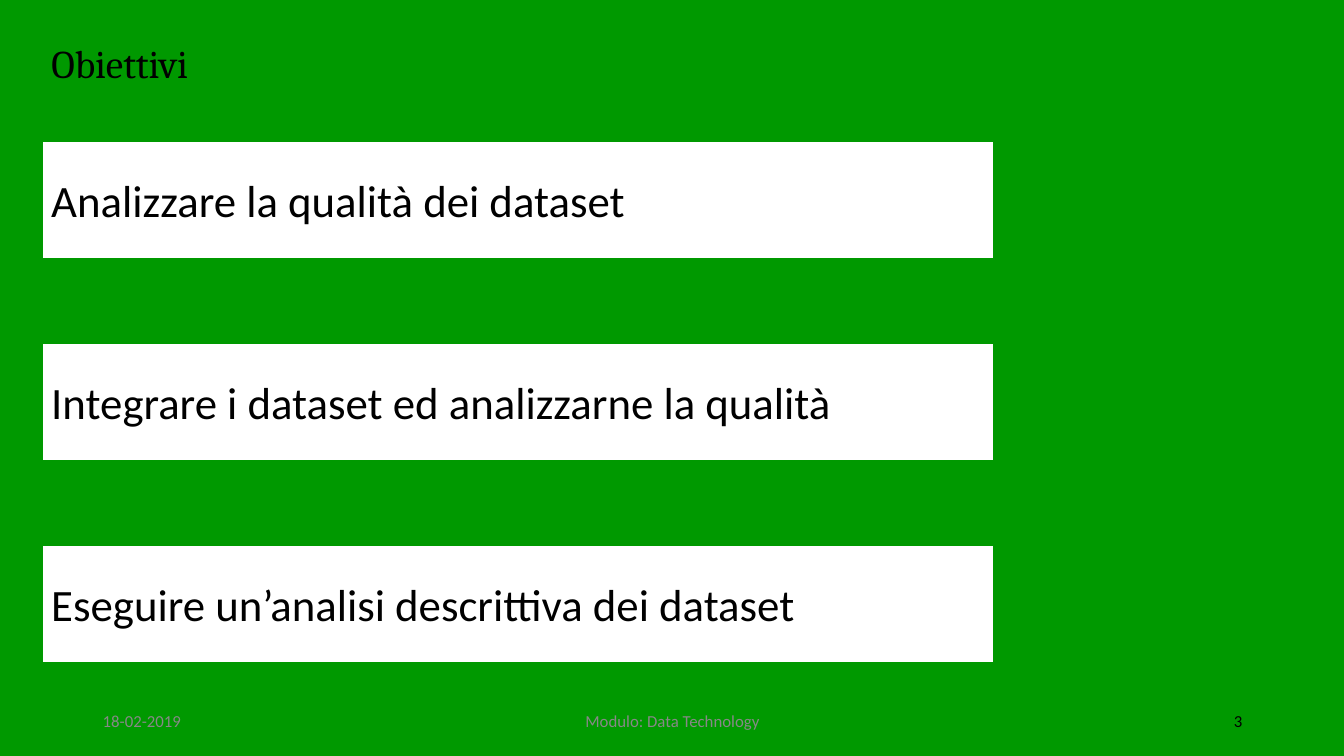
import pptx
import pptx.util
import pptx.dml.color
import pptx.enum.shapes
import pptx.enum.text

Inches = pptx.util.Inches
RGBColor = pptx.dml.color.RGBColor
Align = pptx.enum.text.PP_ALIGN

GREEN = RGBColor(0x00, 0x99, 0x00)
WHITE = RGBColor(0xFF, 0xFF, 0xFF)
BLACK = RGBColor(0x00, 0x00, 0x00)
GRAY = RGBColor(0x88, 0x88, 0x88)


def write_text(shape, text, alignment, font_name, size, color):
    frame = shape.text_frame
    frame.word_wrap = True
    frame.vertical_anchor = pptx.enum.text.MSO_ANCHOR.MIDDLE
    paragraph = frame.paragraphs[0]
    paragraph.text = text
    paragraph.alignment = alignment
    font_format = {"name": font_name, "size": pptx.util.Pt(size)}
    for attribute, value in font_format.items():
        setattr(paragraph.font, attribute, value)
    paragraph.font.color.rgb = color
    return paragraph


def add_rectangle(left, top, width, height, fill, line_width):
    shape = slide.shapes.add_shape(
        pptx.enum.shapes.MSO_SHAPE.RECTANGLE,
        Inches(left), Inches(top), Inches(width), Inches(height))
    shape.shadow.inherit = False
    shape.fill.solid()
    shape.fill.fore_color.rgb = fill
    shape.line.color.rgb = GREEN
    shape.line.width = pptx.util.Pt(line_width)
    return shape


presentation = pptx.Presentation()
presentation.slide_width = Inches(13.33)
presentation.slide_height = Inches(7.5)
slide = presentation.slides.add_slide(presentation.slide_layouts[5])

# Background
slide.background.fill.solid()
slide.background.fill.fore_color.rgb = GREEN

# Title and the bar below it
title = slide.shapes.title
title_place = {"left": 0.41, "top": 0.22, "width": 11.76, "height": 0.81}
for attribute, value in title_place.items():
    setattr(title, attribute, Inches(value))
write_text(title, "Obiettivi", Align.LEFT, "Cambria", 28, BLACK)
add_rectangle(0, 1.06, 12.24, 0.05, GREEN, 1)

# Objectives, evenly spaced
objectives = [
    "Analizzare la qualità dei dataset",
    "Integrare i dataset ed analizzarne la qualità",
    "Eseguire un’analisi descrittiva dei dataset",
]
for index, objective in enumerate(objectives):
    box = add_rectangle(0.41, 1.39 + index * 2.005, 9.45, 1.18, WHITE, 2)
    paragraph = write_text(box, objective, Align.JUSTIFY, "Calibri", 32, BLACK)
    paragraph.space_after = pptx.util.Pt(12)

# Footer: date, module, slide number
footers = [
    ("18-02-2019", 0.92, 3, Align.LEFT, GRAY),
    ("Modulo: Data Technology", 4.42, 4.5, Align.CENTER, GRAY),
    ("3", 9.42, 3, Align.RIGHT, BLACK),
]
for text, left, width, alignment, color in footers:
    footer = slide.shapes.add_textbox(
        Inches(left), Inches(6.95), Inches(width), Inches(0.4))
    write_text(footer, text, alignment, "Calibri", 12, color)

presentation.save("out.pptx")
